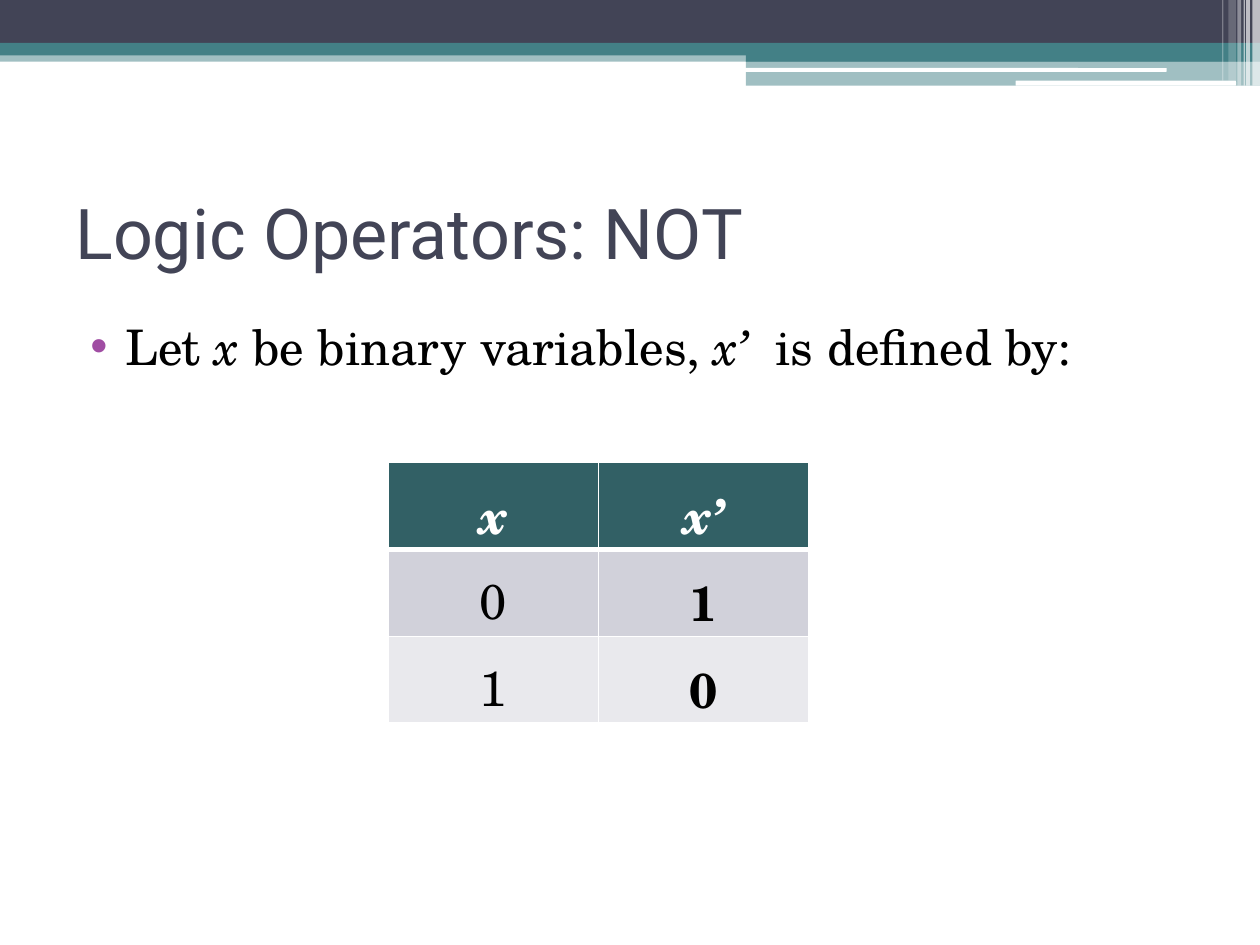
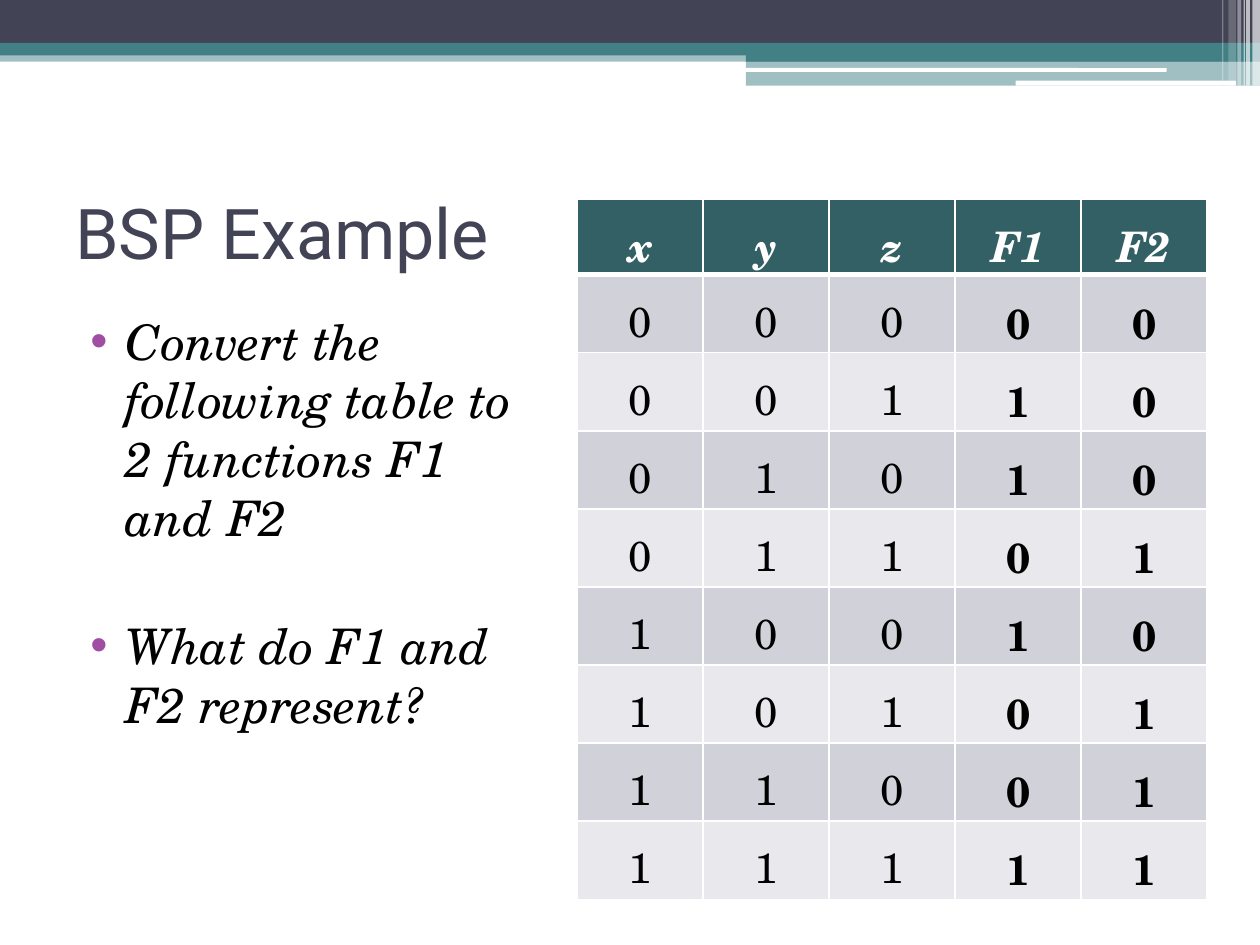
from itertools import product
from pptx import Presentation
from pptx.dml.color import RGBColor
from pptx.enum.shapes import MSO_SHAPE
from pptx.enum.text import MSO_ANCHOR, PP_ALIGN
from pptx.oxml.ns import qn
from pptx.oxml.xmlchemy import OxmlElement
from pptx.util import Inches, Pt

NAVY = RGBColor(0x42, 0x44, 0x56)
TEAL = RGBColor(0x43, 0x80, 0x86)
DARK_TEAL = RGBColor(0x32, 0x60, 0x65)
PURPLE = RGBColor(0xA0, 0x4D, 0xA3)
GREY = RGBColor(0xD1, 0xD1, 0xDA)
PALE = RGBColor(0xE9, 0xE9, 0xED)
WHITE = RGBColor(0xFF, 0xFF, 0xFF)
BLACK = RGBColor(0, 0, 0)
HEAD_FONT = "Roboto"
BODY_FONT = "TeX Gyre Schola"

RECT, ROUND = MSO_SHAPE.RECTANGLE, MSO_SHAPE.ROUNDED_RECTANGLE
BANDS = [
    (RECT, 0, 0.4, 10, 0.09, TEAL, 50),
    (RECT, 0, 0, 10, 0.34, NAVY, 100),
    (RECT, 0, 0.34, 10, 0.1, TEAL, 100),
    (RECT, 5.92, 0.39, 4.08, 0.1, TEAL, 100),
    (RECT, 5.92, 0.48, 4.08, 0.2, TEAL, 50),
    (ROUND, 5.91, 0.54, 3.35, 0.03, WHITE, 100),
    (ROUND, 8.06, 0.64, 1.75, 0.04, WHITE, 100),
    (RECT, 9.94, 0, 0.06, 0.68, WHITE, 65),
    (RECT, 9.89, 0, 0.03, 0.68, WHITE, 65),
    (RECT, 9.87, 0, 0.01, 0.68, WHITE, 60),
    (RECT, 9.82, 0, 0.03, 0.68, WHITE, 40),
    (RECT, 9.75, 0, 0.06, 0.64, WHITE, 20),
    (RECT, 9.7, 0, 0.01, 0.64, WHITE, 30),
]

SLIDES = [
    {
        "title": "Logic Operators: NOT",
        "body": (0.5, 2.46, 9, 4.73),
        "bullets": [(3, [("Let ", False), ("x", True), (" be binary variables, ", False),
                         ("x’ ", True), (" is defined by:", False)])],
        "table": (3.08, 3.67),
        "col_width": 1.67,
        "row_heights": (0.69, 0.69),
        "size": 28,
        "inputs": ["x"],
        "outputs": {"x’": "10"},
    },
    {
        "title": "BSP Example",
        "body": (0.5, 2.42, 3.83, 4.21),
        "bullets": [
            (3, [("Convert the following table to 2 functions F1 and F2", True)]),
            (39.5, [("What do F1 and F2 represent?", True)]),
        ],
        "table": (4.58, 1.58),
        "col_width": 1,
        "row_heights": (0.6, 0.62),
        "size": 24,
        "inputs": ["x", "y", "z"],
        "outputs": {"F1": "01101001", "F2": "00010111"},
    },
]


def add_run(p, text, color, **fmt):
    r = p.add_run()
    r.text = text
    r.font.color.rgb = color
    for name, value in fmt.items():
        setattr(r.font, name, value)


def add_child(parent, tag, **attrs):
    child = OxmlElement(tag)
    for name, value in attrs.items():
        child.set(name, str(value))
    parent.append(child)
    return child


prs = Presentation()
prs.slide_width, prs.slide_height = Inches(10), Inches(7.5)

for data in SLIDES:
    s = prs.slides.add_slide(prs.slide_layouts[6])

    for kind, x, y, w, h, color, alpha in BANDS:
        sp = s.shapes.add_shape(kind, Inches(x), Inches(y), Inches(w), Inches(h))
        sp.shadow.inherit = False
        sp.line.fill.background()
        sp.fill.solid()
        sp.fill.fore_color.rgb = color
        if alpha < 100:
            clr = sp._element.spPr.find(".//" + qn("a:srgbClr"))
            add_child(clr, "a:alpha", val=alpha * 1000)

    tf = s.shapes.add_textbox(Inches(0.5), Inches(1.25), Inches(9), Inches(1.17)).text_frame
    tf.word_wrap = True
    tf.vertical_anchor = MSO_ANCHOR.MIDDLE
    add_run(tf.paragraphs[0], data["title"], NAVY, name=HEAD_FONT, size=Pt(40))

    tf = s.shapes.add_textbox(*map(Inches, data["body"])).text_frame
    tf.word_wrap = True
    for i, (space, runs) in enumerate(data["bullets"]):
        p = tf.add_paragraph() if i else tf.paragraphs[0]
        p.space_before = Pt(space)
        pPr = p._p.get_or_add_pPr()
        pPr.set("marL", str(Inches(0.4)))
        pPr.set("indent", str(Inches(-0.28)))
        add_child(add_child(pPr, "a:buClr"), "a:srgbClr", val=PURPLE)
        add_child(pPr, "a:buFont", typeface="Arial")
        add_child(pPr, "a:buChar", char="•")
        for text, italic in runs:
            add_run(p, text, BLACK, name=BODY_FONT, size=Pt(28), italic=italic)

    inputs, outputs = data["inputs"], data["outputs"]
    rows = [inputs + list(outputs)]
    for bits, results in zip(product("01", repeat=len(inputs)), zip(*outputs.values())):
        rows.append(bits + results)

    x, y = data["table"]
    head_height, row_height = data["row_heights"]
    n_rows, n_cols = len(rows), len(rows[0])
    table = s.shapes.add_table(
        n_rows, n_cols, Inches(x), Inches(y), Inches(n_cols * data["col_width"]),
        Inches(head_height + (n_rows - 1) * row_height)).table
    for col in table.columns:
        col.width = Inches(data["col_width"])
    for i, values in enumerate(rows):
        head = i == 0
        table.rows[i].height = Inches(head_height if head else row_height)
        for j, value in enumerate(values):
            cell = table.cell(i, j)
            cell.margin_top, cell.margin_bottom = Inches(0.12), Inches(0.08)
            p = cell.text_frame.paragraphs[0]
            p.alignment = PP_ALIGN.CENTER
            add_run(p, value, WHITE if head else BLACK, name=BODY_FONT, size=Pt(data["size"]),
                    bold=head or j >= len(inputs), italic=head)
            tcPr = cell._tc.get_or_add_tcPr()
            for side in "LRTB":
                thick = (head and side == "B") or (i == 1 and side == "T")
                ln = add_child(tcPr, "a:ln" + side, w=Pt(3 if thick else 1))
                add_child(add_child(ln, "a:solidFill"), "a:srgbClr", val=WHITE)
            cell.fill.solid()
            cell.fill.fore_color.rgb = DARK_TEAL if head else GREY if i % 2 else PALE

prs.save("out.pptx")
